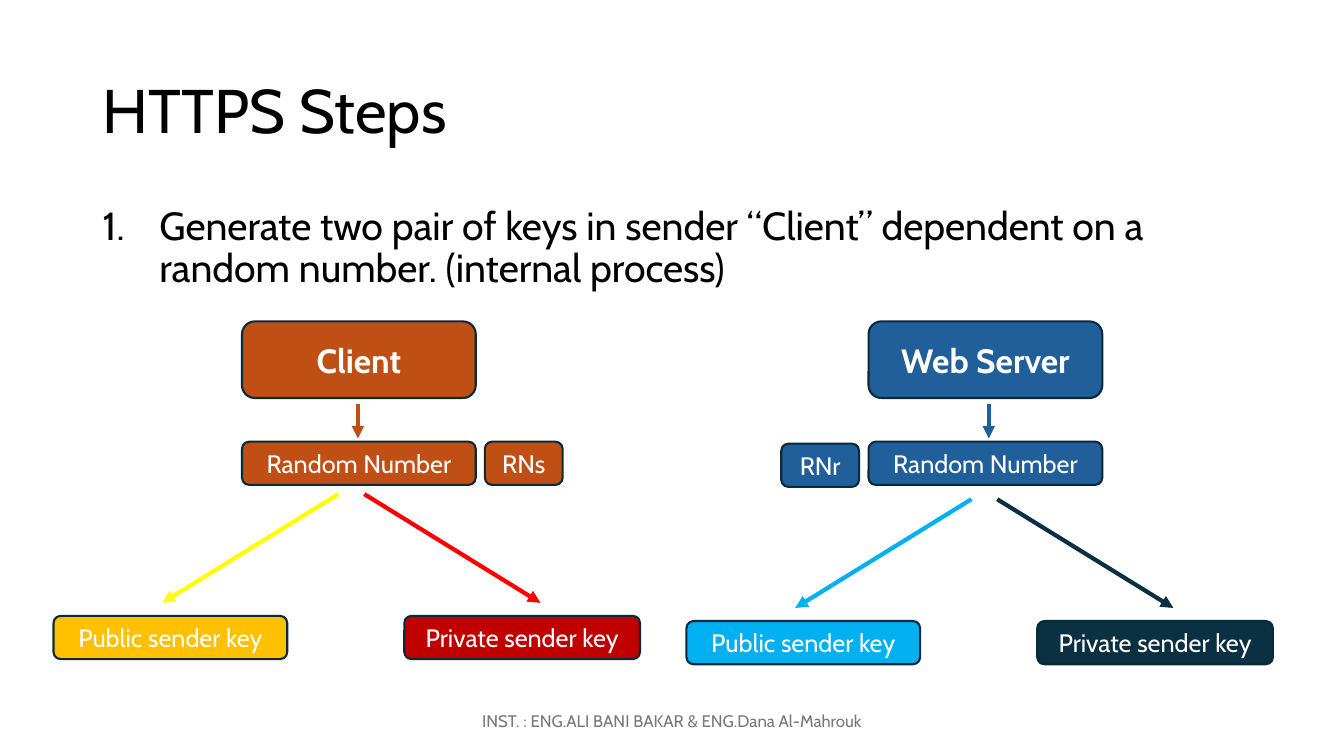
from dataclasses import dataclass

from lxml import etree
from pptx import Presentation
from pptx.dml.color import RGBColor
from pptx.enum import shapes, text
from pptx.oxml import ns
from pptx.util import Cm, Pt

FONT = "Cabin"
BLACK = RGBColor(0x00, 0x00, 0x00)
WHITE = RGBColor(0xFF, 0xFF, 0xFF)
GREY = RGBColor(0x79, 0x79, 0x79)
OUTLINE = RGBColor(0x09, 0x2A, 0x39)
ORANGE = RGBColor(0xC0, 0x4F, 0x15)
BLUE = RGBColor(0x21, 0x5F, 0x9A)
GOLD = RGBColor(0xFF, 0xC0, 0x00)
YELLOW = RGBColor(0xFF, 0xFF, 0x00)
DARK_RED = RGBColor(0xC0, 0x00, 0x00)
RED = RGBColor(0xFF, 0x00, 0x00)
SKY = RGBColor(0x00, 0xB0, 0xF0)
NAVY = RGBColor(0x0B, 0x30, 0x41)

LEFT, CENTER = text.PP_ALIGN.LEFT, text.PP_ALIGN.CENTER
HEAD_TOP, HEAD_HEIGHT = 8.1, 1.93
NUMBER_TOP, BOX_WIDTH, BOX_HEIGHT = 11.13, 5.89, 1.09
TAG_WIDTH = 1.96


@dataclass(frozen=True)
class Key:
    label: str
    fill: RGBColor
    arrow: RGBColor


@dataclass(frozen=True)
class Party:
    """One end of the connection; all lengths are in centimetres."""
    name: str
    color: RGBColor
    left: float
    arrow_x: float
    tag: str
    tag_left: float
    tag_top: float
    keys_left: float
    keys_top: float
    public: Key
    private: Key


PARTIES = [
    Party("Client", ORANGE, 6.1, 9.02, "RNs", 12.22, 11.13, 1.35, 15.52,
          Key("Public sender key", GOLD, YELLOW),
          Key("Private sender key", DARK_RED, RED)),
    Party("Web Server", BLUE, 21.89, 24.92, "RNr", 19.69, 11.18, 17.3, 15.65,
          Key("Public sender key", SKY, SKY),
          Key("Private sender key", NAVY, NAVY)),
]


def write(para, words: str, size: float, color: RGBColor, align, bold: bool = False) -> None:
    para.alignment = align
    span = para.add_run()
    span.text = words
    span.font.name = FONT
    span.font.size = Pt(size)
    span.font.bold = bold
    span.font.color.rgb = color


def place(shape, left: float, top: float, width: float, height: float) -> None:
    shape.left, shape.top = Cm(left), Cm(top)
    shape.width, shape.height = Cm(width), Cm(height)


def add_text_box(page, left: float, top: float, width: float, height: float, anchor):
    box = page.shapes.add_textbox(Cm(left), Cm(top), Cm(width), Cm(height))
    box.text_frame.word_wrap = True
    box.text_frame.vertical_anchor = anchor
    return box.text_frame.paragraphs[0]


def add_box(page, words: str, fill: RGBColor, left: float, top: float,
            width: float = BOX_WIDTH, height: float = BOX_HEIGHT,
            size: float = 18, bold: bool = False) -> None:
    box = page.shapes.add_shape(shapes.MSO_SHAPE.ROUNDED_RECTANGLE,
                                Cm(left), Cm(top), Cm(width), Cm(height))
    box.shadow.inherit = False
    box.fill.solid()
    box.fill.fore_color.rgb = fill
    box.line.color.rgb = OUTLINE
    box.line.width = Pt(1.5)
    box.text_frame.word_wrap = True
    box.text_frame.vertical_anchor = text.MSO_ANCHOR.MIDDLE
    write(box.text_frame.paragraphs[0], words, size, WHITE, CENTER, bold)


def add_arrow(page, color: RGBColor, x1: float, y1: float, x2: float, y2: float) -> None:
    arrow = page.shapes.add_connector(shapes.MSO_CONNECTOR.STRAIGHT,
                                      Cm(x1), Cm(y1), Cm(x2), Cm(y2))
    arrow.line.color.rgb = color
    arrow.line.width = Pt(3)
    properties = arrow.element.spPr
    line = properties.find(ns.qn("a:ln"))
    etree.SubElement(line, ns.qn("a:tailEnd"), type="triangle")
    etree.SubElement(properties, ns.qn("a:effectLst"))


def add_party(page, party: Party) -> None:
    add_box(page, party.name, party.color, party.left, HEAD_TOP,
            height=HEAD_HEIGHT, size=24, bold=True)
    add_arrow(page, party.color, party.arrow_x, 10.19, party.arrow_x, 11.05)
    add_box(page, "Random Number", party.color, party.left, NUMBER_TOP)
    add_box(page, party.tag, party.color, party.tag_left, party.tag_top, TAG_WIDTH)

    x, y = party.keys_left, party.keys_top
    add_box(page, party.public.label, party.public.fill, x, y)
    add_box(page, party.private.label, party.private.fill, x + 8.84, y, 5.94)
    start, end = y - 3.07, y - 0.33
    add_arrow(page, party.public.arrow, x + 7.18, start, x + 2.74, end)
    add_arrow(page, party.private.arrow, x + 7.83, start, x + 12.27, end)


def add_title(page) -> None:
    title = page.shapes.title
    place(title, 2.34, 1.02, 29.21, 3.68)
    title.text_frame.vertical_anchor = text.MSO_ANCHOR.MIDDLE
    para = title.text_frame.paragraphs[0]
    para.line_spacing = 0.9
    write(para, "HTTPS Steps", 44, BLACK, LEFT)


def add_step(page) -> None:
    para = add_text_box(page, 2.34, 5.08, 29.21, 12.09, text.MSO_ANCHOR.TOP)
    para.line_spacing = 0.9
    properties = para._p.get_or_add_pPr()
    properties.set("marL", str(Cm(1.43)))
    properties.set("indent", str(Cm(-1.43)))
    etree.SubElement(properties, ns.qn("a:buFont"), typeface=FONT)
    etree.SubElement(properties, ns.qn("a:buAutoNum"), type="arabicPeriod")
    write(para, "Generate two pair of keys in sender “Client” dependent on a "
                "random number. (internal process)", 28, BLACK, LEFT)


def main() -> None:
    deck = Presentation()
    deck.slide_width, deck.slide_height = Cm(33.87), Cm(19.05)
    page = deck.slides.add_slide(deck.slide_layouts.get_by_name("Title Only"))
    add_title(page)
    add_step(page)
    for party in PARTIES:
        add_party(page, party)
    credit = add_text_box(page, 11.22, 17.66, 11.43, 1.01, text.MSO_ANCHOR.MIDDLE)
    write(credit, "INST. : ENG.ALI BANI BAKAR & ENG.Dana Al-Mahrouk", 12, GREY, CENTER)
    deck.save("out.pptx")


if __name__ == "__main__":
    main()
